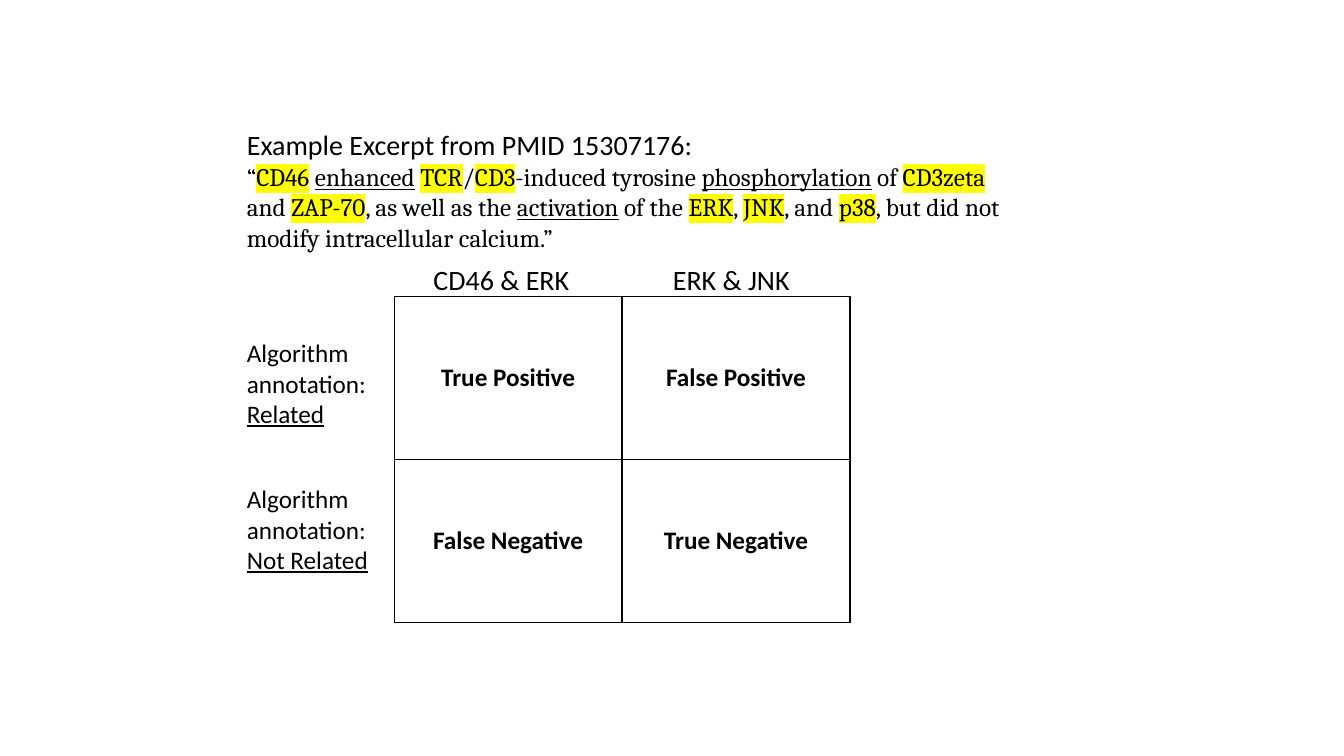
from lxml import etree
from pptx import Presentation
from pptx.dml.color import RGBColor
from pptx.enum.text import MSO_ANCHOR, MSO_AUTO_SIZE, PP_ALIGN
from pptx.oxml.ns import qn
from pptx.util import Pt

CENTER = PP_ALIGN.CENTER
MIDDLE = MSO_ANCHOR.MIDDLE
GROW = MSO_AUTO_SIZE.SHAPE_TO_FIT_TEXT
EMU_PER_PX = 9144  # 100 px to the inch
BLACK, YELLOW = "000000", "FFFF00"
PLAIN, GENE, ACTION = "plain", "gene", "action"

EXCERPT_TITLE = "Example Excerpt from PMID 15307176:"
EXCERPT = [
    ("“", PLAIN), ("CD46", GENE), (" ", PLAIN), ("enhanced", ACTION),
    (" ", PLAIN), ("TCR", GENE), ("/", PLAIN), ("CD3", GENE),
    ("-induced tyrosine ", PLAIN), ("phosphorylation", ACTION),
    (" of ", PLAIN), ("CD3zeta", GENE), (" and ", PLAIN), ("ZAP-70", GENE),
    (", as well as the ", PLAIN), ("activation", ACTION), (" of the ", PLAIN),
    ("ERK", GENE), (", ", PLAIN), ("JNK", GENE), (", and ", PLAIN),
    ("p38", GENE), (", but did not modify intracellular calcium.”", PLAIN),
]
COLUMN_LABELS = [("CD46 & ERK", 156), ("ERK & JNK", 137)]
ROW_LABELS = ["Related", "Not Related"]
OUTCOMES = [["True Positive", "False Positive"],
            ["False Negative", "True Negative"]]

LEFT = 235
TABLE_LEFT, TABLE_TOP = 391, 294
CELL_WIDTH, CELL_HEIGHT = 226, 162
COLUMN_LABEL_TOP = 256
ROW_LABEL_TOP, ROW_LABEL_STEP = 330, 145


def px(length):
    return round(length * EMU_PER_PX)


def color(value):
    return RGBColor.from_string(value)


def add_run(paragraph, text, size=18, font="Calibri", bold=False, mark=PLAIN):
    run = paragraph.add_run()
    run.text = text
    run.font.size = Pt(size)
    run.font.bold = bold
    run.font.underline = mark == ACTION
    run.font.color.rgb = color(BLACK)
    run.font.name = font
    if mark == GENE:
        highlight = etree.Element(qn("a:highlight"))
        etree.SubElement(highlight, qn("a:srgbClr"), val=YELLOW)
        run.font.fill._xPr.find(qn("a:solidFill")).addnext(highlight)


def add_text_box(slide, left, top, width, height, wrap=True):
    box = slide.shapes.add_textbox(px(left), px(top), px(width), px(height))
    box.text_frame.word_wrap = wrap
    box.text_frame.auto_size = GROW
    return box.text_frame


def add_borders(cell):
    properties = cell._tc.get_or_add_tcPr()
    for index, side in enumerate(("a:lnL", "a:lnR", "a:lnT", "a:lnB")):
        line = etree.Element(qn(side), w=str(Pt(1)))
        fill = etree.SubElement(line, qn("a:solidFill"))
        etree.SubElement(fill, qn("a:srgbClr"), val=BLACK)
        properties.insert(index, line)


def add_excerpt(slide):
    frame = add_text_box(slide, LEFT, 122, 780, 135)
    add_run(frame.paragraphs[0], EXCERPT_TITLE, size=20)
    paragraph = frame.add_paragraph()
    for text, mark in EXCERPT:
        add_run(paragraph, text, font="Cambria", mark=mark)


def add_outcome_table(slide):
    rows, columns = len(OUTCOMES), len(OUTCOMES[0])
    table = slide.shapes.add_table(
        rows, columns, px(TABLE_LEFT), px(TABLE_TOP),
        px(columns * CELL_WIDTH), px(rows * CELL_HEIGHT)).table
    table.first_row = table.horz_banding = False
    for row, outcomes in enumerate(OUTCOMES):
        for column, outcome in enumerate(outcomes):
            cell = table.cell(row, column)
            cell.vertical_anchor = MIDDLE
            cell.fill.background()
            add_borders(cell)
            paragraph = cell.text_frame.paragraphs[0]
            paragraph.alignment = CENTER
            add_run(paragraph, outcome, bold=True)


def add_labels(slide):
    for column, (label, width) in enumerate(COLUMN_LABELS):
        middle = TABLE_LEFT + (column + 0.5) * CELL_WIDTH
        frame = add_text_box(slide, middle - 6 - width / 2 if column == 0
                             else middle - 4 - width / 2,
                             COLUMN_LABEL_TOP, width, 44, wrap=False)
        add_run(frame.paragraphs[0], label, size=20)
    for row, label in enumerate(ROW_LABELS):
        top = ROW_LABEL_TOP + row * ROW_LABEL_STEP
        frame = add_text_box(slide, LEFT, top, 155, 101)
        add_run(frame.paragraphs[0], "Algorithm annotation:")
        add_run(frame.add_paragraph(), label, mark=ACTION)


def main():
    presentation = Presentation()
    presentation.slide_width, presentation.slide_height = px(1333), px(750)
    slide = presentation.slides.add_slide(presentation.slide_layouts[6])
    add_excerpt(slide)
    add_outcome_table(slide)
    add_labels(slide)
    presentation.save("out.pptx")


if __name__ == "__main__":
    main()
